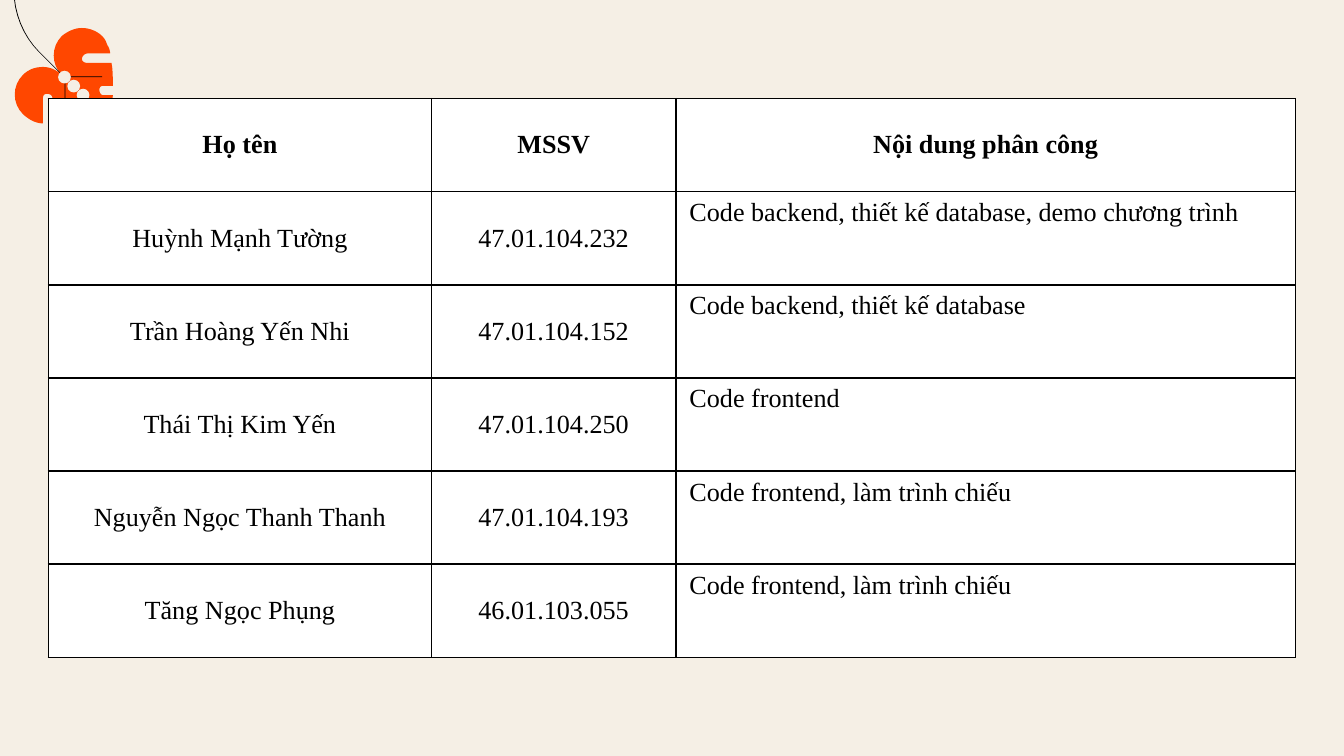
from lxml.etree import SubElement
from pptx import Presentation
from pptx.dml.color import RGBColor
from pptx.enum.shapes import MSO_SHAPE as Shape
from pptx.enum.text import MSO_ANCHOR as Anchor, PP_ALIGN as Align
from pptx.oxml.ns import qn
from pptx.util import Pt

CREAM, ORANGE, BLACK, WHITE = "F5EFE5", "FF4700", "000000", "FFFFFF"
FONT = "Times New Roman"
UNIT = 0.72  # points per butterfly drawing unit
THIN = 0.6  # stroke width of the antenna and brackets, in units

# A pair is a straight step; six numbers are a Bézier step.
WINGS = [
    (52, 0), (47, 0, 42, 2, 37, 6), (29, 14, 29, 27, 37, 35),
    (33, 31, 28, 29, 23, 29), (17, 29, 12, 31, 8, 35),
    (0, 43, 0, 56, 8, 64), (10, 66, 13, 68, 15, 69), (17, 70, 20, 71, 23, 71),
    (23, 52), (23, 50, 24, 49, 26, 49), (28, 49, 30, 50, 30, 52),
    (30, 72), (45, 72),
    (45, 64), (45, 62, 46, 61, 48, 61), (50, 61, 52, 62, 52, 64),
    (52, 72), (63, 72, 73, 70, 73, 70), (73, 70, 74, 61, 75, 50),
    (68, 50), (66, 50, 65, 48, 65, 46), (65, 44, 66, 43, 68, 43),
    (75, 43), (75, 37, 75, 31, 74, 26),
    (56, 26), (54, 26, 52, 25, 52, 23), (52, 21, 54, 19, 56, 19),
    (73, 19), (73, 17, 72, 14, 71, 13), (70, 10, 69, 8, 67, 6),
    (63, 2, 57, 0, 52, 0),
]
ANTENNA = [
    (1, -44), (1, -29), (1, -11, 8, 6, 20, 18), (66, 64),
    (66 + THIN, 64), (20 + THIN, 18), (8 + THIN, 6, 1 + THIN, -11, 1 + THIN, -29),
    (1 + THIN, -44),
]
ASSIGNMENTS = [
    ("Họ tên", "MSSV", "Nội dung phân công"),
    ("Huỳnh Mạnh Tường", "47.01.104.232",
     "Code backend, thiết kế database, demo chương trình"),
    ("Trần Hoàng Yến Nhi", "47.01.104.152", "Code backend, thiết kế database"),
    ("Thái Thị Kim Yến", "47.01.104.250", "Code frontend"),
    ("Nguyễn Ngọc Thanh Thanh", "47.01.104.193", "Code frontend, làm trình chiếu"),
    ("Tăng Ngọc Phụng", "46.01.103.055", "Code frontend, làm trình chiếu"),
]


def paint(fill, color):
    fill.solid()
    fill.fore_color.rgb = RGBColor.from_string(color)


def finish(shape, color):
    """Give a shape a plain fill without outline or shadow."""
    paint(shape.fill, color)
    shape.line.fill.background()
    shape.shadow.inherit = False


def flatten(steps, pieces=8):
    """Turn straight and Bézier steps into a list of points."""
    points = [steps[0]]
    for step in steps[1:]:
        if len(step) == 2:
            points.append(step)
            continue
        controls = [points[-1], step[:2], step[2:4], step[4:]]
        for piece in range(1, pieces + 1):
            t = piece / pieces
            weights = ((1 - t) ** 3, 3 * t * (1 - t) ** 2, 3 * t * t * (1 - t), t ** 3)
            points.append(tuple(
                sum(weight * point[axis] for weight, point in zip(weights, controls))
                for axis in (0, 1)))
    return points


def bracket(x, y, width, height):
    """Outline of two thin legs that meet at the top left."""
    return [(x, y), (x + width, y), (x + width, y + THIN), (x + THIN, y + THIN),
            (x + THIN, y + height), (x, y + height)]


def add_butterfly(page, left, top):
    group = page.shapes.add_group_shape()
    outlines = [(WINGS, ORANGE), (ANTENNA, BLACK),
                (bracket(39, 36, 28, 32), BLACK), (bracket(56, 54, 13, 13), BLACK)]
    for steps, color in outlines:
        points = [(Pt(left + x * UNIT), Pt(top + y * UNIT)) for x, y in flatten(steps)]
        builder = group.shapes.build_freeform(*points[0])
        builder.add_line_segments(points[1:], close=True)
        finish(builder.convert_to_shape(), color)
    size = Pt(9.5 * UNIT)
    for index in range(3):
        x, y = 34.2 + 6.9 * index, 31.8 + 6.7 * index
        dot = group.shapes.add_shape(
            Shape.OVAL, Pt(left + x * UNIT), Pt(top + y * UNIT), size, size)
        finish(dot, CREAM)


def add_borders(cell, color, width):
    properties = cell._tc.get_or_add_tcPr()
    for side in ("lnL", "lnR", "lnT", "lnB"):
        line = SubElement(properties, qn(f"a:{side}"), w=str(Pt(width)))
        SubElement(SubElement(line, qn("a:solidFill")), qn("a:srgbClr"), val=color)


def write(cell, text, bold=False, centered=True):
    para = cell.text_frame.paragraphs[0]
    span = para.add_run()
    span.text = text
    span.font.name, span.font.size, span.font.bold = FONT, Pt(14), bold
    span.font.color.rgb = RGBColor.from_string(BLACK)
    para.alignment = Align.CENTER if centered else Align.LEFT
    cell.vertical_anchor = Anchor.MIDDLE if centered else Anchor.TOP


def add_assignments(page, left, top, width, height):
    shares = (2.85, 1.82, 4.61)
    table = page.shapes.add_table(len(ASSIGNMENTS), len(shares), Pt(left), Pt(top),
                                  Pt(width), Pt(height)).table
    table.horz_banding = False
    for column, share in zip(table.columns, shares):
        column.width = Pt(width * share / sum(shares))
    for row, texts in enumerate(ASSIGNMENTS):
        table.rows[row].height = Pt(height / len(ASSIGNMENTS))
        for column, text in enumerate(texts):
            cell = table.cell(row, column)
            add_borders(cell, BLACK, 1)
            paint(cell.fill, WHITE)
            write(cell, text, bold=row == 0, centered=row == 0 or column < 2)


def main():
    deck = Presentation()
    deck.slide_width, deck.slide_height = Pt(720), Pt(405)
    page = deck.slides.add_slide(deck.slide_layouts[6])
    paint(page.background.fill, CREAM)
    add_butterfly(page, 6.5, 15)
    add_assignments(page, 26, 52.8, 668, 299.4)
    deck.save("out.pptx")


if __name__ == "__main__":
    main()
